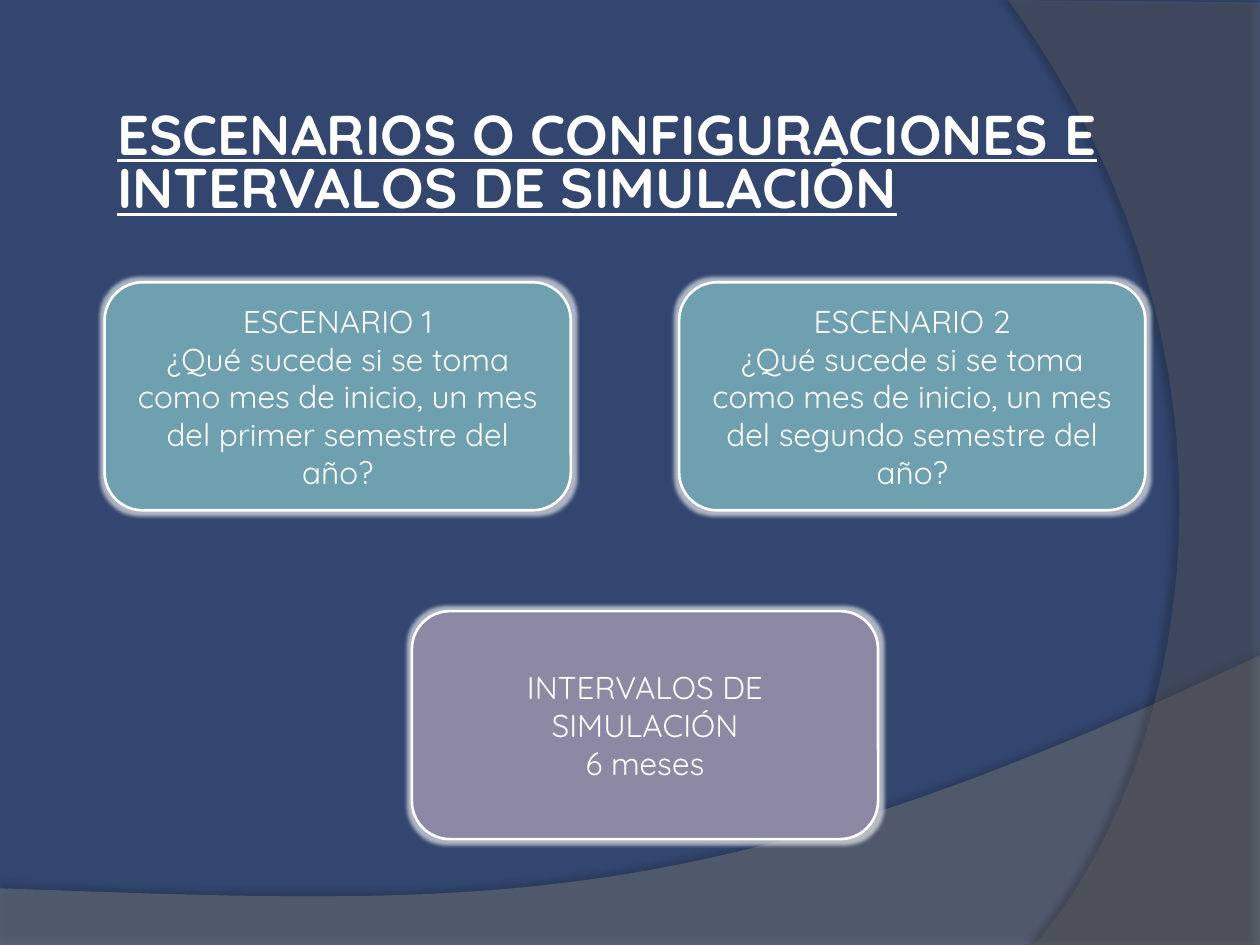
from pptx import Presentation
from pptx.dml.color import RGBColor
from pptx.enum import shapes, text
from pptx.oxml import parse_xml
from pptx.oxml.ns import nsdecls, qn
from pptx.util import Pt
from lxml import etree

# Content
TITLE = "ESCENARIOS O CONFIGURACIONES E INTERVALOS DE SIMULACIÓN"
ASK = "¿Qué sucede si se toma como mes de inicio, un mes del {} semestre del año?"
CARDS = [  # left, top, fill, lines
    (59.8, 161.3, "teal", ["ESCENARIO 1", ASK.format("primer")]),
    (235.4, 349.2, "mauve", ["INTERVALOS DE SIMULACIÓN", "6 meses"]),
    (388.1, 161.3, "teal", ["ESCENARIO 2", ASK.format("segundo")]),
]
CARD_W, CARD_H = 266.4, 130.3

# Waves: fill, opacity, start, steps (2 numbers: line, 6: curve), shadow
WAVES = [
    ("gray", 45, (0, 507.6),
     [(0, 540.7), (720, 540.7), (720, 374.4),
      (402.5, 524.9, 281.5, 517.7, 0, 507.6)],
     dict(alpha=35, blur=4, dist=3.5, turn=270)),
    ("dark", 40, (720, 1.4),
     [(720, 540), (591.1, 540), (673.2, 445.7, 733, 216, 576, 0)],
     dict(alpha=45, blur=4, dist=4, turn=180)),
]
COLORS = {"back": "33466F", "gray": "7F7F7F", "dark": "5E5E5E", "teal": "6EA0B0",
          "mauve": "8D89A4", "white": "FFFFFF", "black": "000000"}
FONT = "Quicksand"


def rgb(name):
    return RGBColor.from_string(COLORS[name])


def style(font, **vals):
    for key, val in dict(vals, name=FONT).items():
        setattr(font, key, val)
    font.color.rgb = rgb("white")


def effect(shape, tag, color, alpha, **attrs):
    """Put one glow or shadow on a shape."""
    shape.shadow.inherit = False
    node = parse_xml(
        f'<a:{tag} {nsdecls("a")}><a:srgbClr val="{COLORS[color]}">'
        f'<a:alpha val="{alpha * 1000}"/></a:srgbClr></a:{tag}>')
    for key, val in attrs.items():
        node.set(key, str(int(val)))
    shape._element.spPr.find(qn("a:effectLst")).append(node)


def curve(start, step, count=48):
    """Points along a cubic curve."""
    knots = [start, step[:2], step[2:4], step[4:]]
    for i in range(1, count + 1):
        t = i / count
        mix = ((1 - t) ** 3, 3 * t * (1 - t) ** 2, 3 * t * t * (1 - t), t ** 3)
        yield tuple(sum(m * k[axis] for m, k in zip(mix, knots)) for axis in (0, 1))


def add_wave(slide, fill, alpha, start, steps, shade):
    dots = [start]
    for step in steps:
        dots += [step] if len(step) == 2 else list(curve(dots[-1], step))
    dots = [(x * 100, y * 100) for x, y in dots]
    pen = slide.shapes.build_freeform(*dots[0], scale=Pt(1) / 100)
    pen.add_line_segments(dots[1:], close=True)
    wave = pen.convert_to_shape()
    wave.fill.solid()
    wave.fill.fore_color.rgb = rgb(fill)
    tint = wave._element.spPr.find(qn("a:solidFill"))[0]
    etree.SubElement(tint, qn("a:alpha")).set("val", str(alpha * 1000))
    wave.line.fill.background()
    effect(wave, "outerShdw", "black", shade["alpha"], blurRad=Pt(shade["blur"]),
           dist=Pt(shade["dist"]), dir=shade["turn"] * 60000)


def add_card(slide, left, top, fill, lines):
    card = slide.shapes.add_shape(shapes.MSO_SHAPE.ROUNDED_RECTANGLE,
                                  Pt(left), Pt(top), Pt(CARD_W), Pt(CARD_H))
    card.fill.solid()
    card.fill.fore_color.rgb = rgb(fill)
    card.line.color.rgb = rgb("white")
    card.line.width = Pt(1.5)
    effect(card, "glow", "white", 60, rad=Pt(4))
    frame = card.text_frame
    frame.word_wrap = True
    frame.vertical_anchor = text.MSO_ANCHOR.MIDDLE
    frame.text = "\n".join(lines)
    for para in frame.paragraphs:
        para.alignment = text.PP_ALIGN.CENTER
        style(para.font, size=Pt(18))


def add_title(slide):
    title = slide.shapes.title
    box = dict(left=59.8, top=60.5, width=583.9, height=69.1)
    for key, val in box.items():
        setattr(title, key, Pt(val))
    frame = title.text_frame
    frame.text = TITLE
    for key, val in dict(word_wrap=True, vertical_anchor=text.MSO_ANCHOR.TOP,
                         auto_size=text.MSO_AUTO_SIZE.SHAPE_TO_FIT_TEXT).items():
        setattr(frame, key, val)
    para = frame.paragraphs[0]
    para.alignment = text.PP_ALIGN.LEFT
    para.line_spacing = 0.8
    para.space_before = Pt(0)
    style(para.font, size=Pt(32), bold=True, underline=True)


def main():
    deck = Presentation()
    deck.slide_width, deck.slide_height = Pt(720), Pt(540)
    slide = deck.slides.add_slide(deck.slide_layouts[5])
    slide.background.fill.solid()
    slide.background.fill.fore_color.rgb = rgb("back")
    # Waves behind the title
    for wave in WAVES:
        add_wave(slide, *wave)
    add_title(slide)
    tree = slide.shapes._spTree
    tree.append(slide.shapes.title._element)
    # Cards on top
    for card in CARDS:
        add_card(slide, *card)
    deck.save("out.pptx")


if __name__ == "__main__":
    main()
